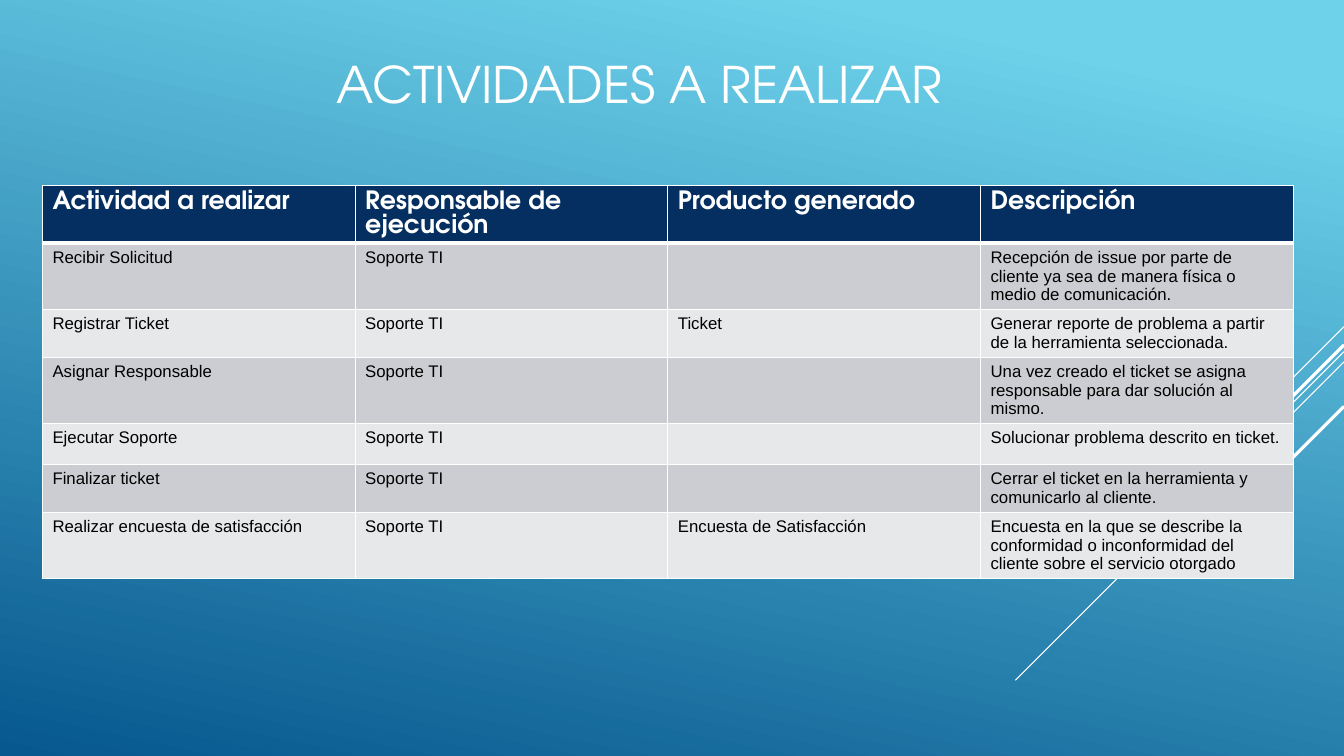
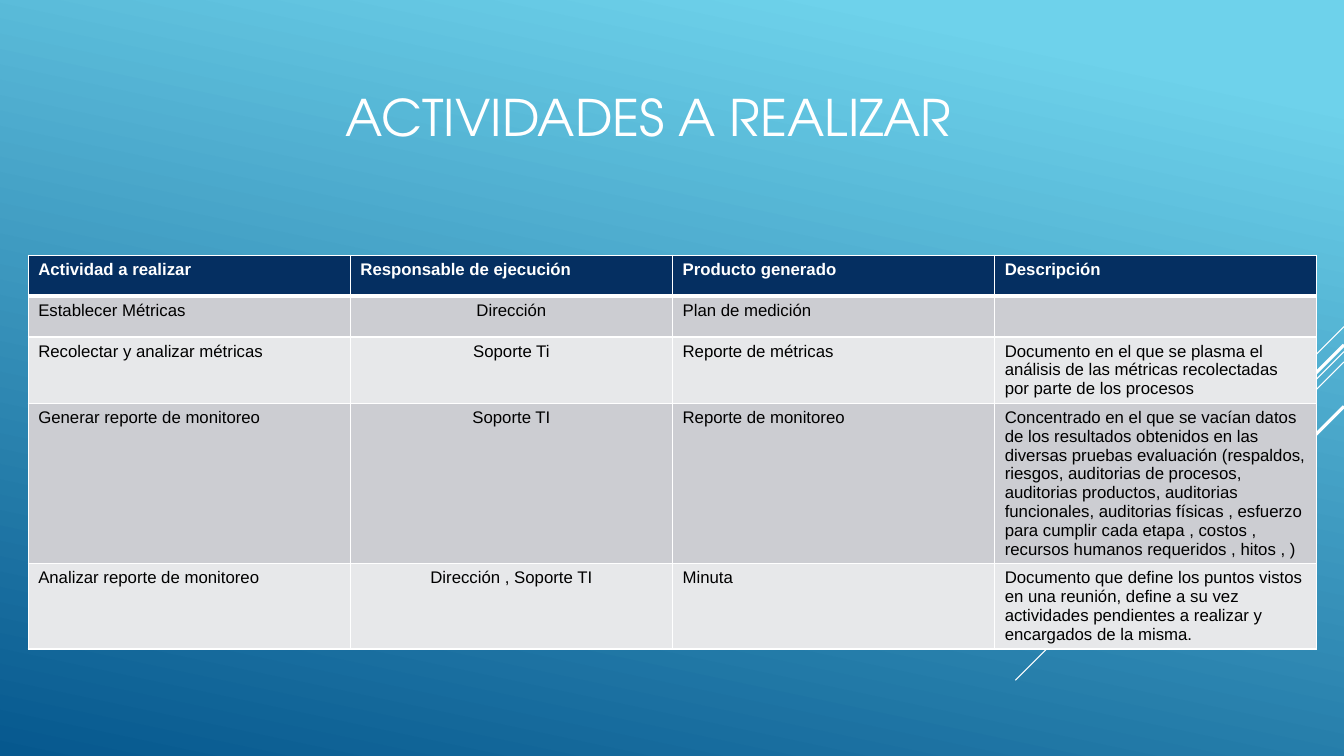
from lxml import etree
from pptx import Presentation
from pptx import util as u
from pptx.dml.color import RGBColor
from pptx.enum import shapes, text
from pptx.oxml.ns import qn

COLORS = {
    "sky": "6ED2EB", "ocean": "06588E", "navy": "052F61", "white": "FFFFFF",
    "black": "000000", "band_dark": "CCCDD2", "band_light": "E7E8EA",
}
TITLE_FORMAT = {"size": u.Pt(36), "name": "TeX Gyre Adventor"}
BODY_FORMAT = {"size": u.Pt(12), "name": "Arial", "bold": False}
SMALL_HEADER_FORMAT = BODY_FORMAT | {"bold": True}
LARGE_HEADER_FORMAT = {"size": u.Pt(18), "name": "TeX Gyre Adventor", "bold": True}
BODY_SPACING, LARGE_SPACING = u.Pt(13.4), u.Pt(17)

SLIDE_WIDTH, SLIDE_HEIGHT = 33.87, 19.05
# Diagonals start at the right edge: top, horizontal and vertical run, line width
DIAGONALS = [
    (8.23, 2.54, 0.75), (8.86, 8.28, 0.75), (9.12, 5.27, 0.75),
    (8.69, 4.85, 2.25), (10.24, 3.53, 2.25),
]

TITLE = "ACTIVIDADES A REALIZAR"
HEADERS = ["Actividad a realizar", "Responsable de ejecución", "Producto generado", "Descripción"]
SUPPORT_ROWS = [
    ["Recibir Solicitud", "Soporte TI", "",
     "Recepción de issue por parte de cliente ya sea de manera física o medio de comunicación."],
    ["Registrar Ticket", "Soporte TI", "Ticket",
     "Generar reporte de problema a partir de la herramienta seleccionada."],
    ["Asignar Responsable", "Soporte TI", "",
     "Una vez creado el ticket se asigna responsable para dar solución al mismo."],
    ["Ejecutar Soporte", "Soporte TI", "", "Solucionar problema descrito en ticket."],
    ["Finalizar ticket", "Soporte TI", "",
     "Cerrar el ticket en la herramienta y comunicarlo al cliente."],
    ["Realizar encuesta de satisfacción", "Soporte TI", "Encuesta de Satisfacción",
     "Encuesta en la que se describe la conformidad o inconformidad del cliente "
     "sobre el servicio otorgado"],
]
METRICS_ROWS = [
    ["Establecer Métricas", "Dirección", "Plan de medición", ""],
    ["Recolectar y analizar métricas", "Soporte Ti", "Reporte de métricas",
     "Documento en el que se plasma el análisis de las métricas recolectadas "
     "por parte de los procesos"],
    ["Generar reporte de monitoreo", "Soporte TI", "Reporte de monitoreo",
     "Concentrado en el que se vacían datos de los resultados obtenidos en las diversas pruebas "
     "evaluación (respaldos, riesgos, auditorias de procesos, auditorias productos, auditorias "
     "funcionales, auditorias físicas , esfuerzo para cumplir cada etapa , costos , recursos "
     "humanos requeridos , hitos , )"],
    ["Analizar reporte de monitoreo", "Dirección , Soporte TI", "Minuta",
     "Documento que define los puntos vistos en una reunión, define a su vez actividades "
     "pendientes a realizar y encargados de la misma."],
]


def rgb(name):
    return RGBColor.from_string(COLORS[name])


def write(paragraph, content, font_format, color, alignment=text.PP_ALIGN.LEFT):
    paragraph.alignment = alignment
    if not content:
        return
    run = paragraph.add_run()
    run.text = content
    for name, value in font_format.items():
        setattr(run.font, name, value)
    run.font.color.rgb = rgb(color)


def set_background(presentation):
    fill = presentation.slide_master.background.fill
    fill.gradient()
    fill.gradient_angle = 258
    for stop, (position, color) in zip(fill.gradient_stops, [(0.1, "sky"), (1, "ocean")]):
        stop.position = position
        stop.color.rgb = rgb(color)


def add_diagonal(slide, top, run_length, width):
    line = slide.shapes.add_connector(
        shapes.MSO_CONNECTOR.STRAIGHT, u.Cm(SLIDE_WIDTH), u.Cm(top),
        u.Cm(SLIDE_WIDTH - run_length), u.Cm(top + run_length))
    line.line.color.rgb = rgb("white")
    line.line.width = u.Pt(width)
    etree.SubElement(line._element.spPr, qn("a:effectLst"))


def add_title(slide, left, top):
    box = slide.shapes.add_textbox(u.Cm(left), u.Cm(top), u.Cm(23.7), u.Cm(4.19))
    frame = box.text_frame
    frame.word_wrap = True
    frame.vertical_anchor = text.MSO_ANCHOR.MIDDLE
    write(frame.paragraphs[0], TITLE, TITLE_FORMAT, "white", text.PP_ALIGN.CENTER)


def set_borders(cell, widths):
    """Border lines come before the fill in the cell properties."""
    properties = cell._tc.get_or_add_tcPr()
    for index, (side, width) in enumerate(widths.items()):
        line = etree.Element(qn(f"a:ln{side}"), w=str(u.Pt(width)))
        fill = etree.SubElement(line, qn("a:solidFill"))
        etree.SubElement(fill, qn("a:srgbClr"), val=COLORS["white"])
        properties.insert(index, line)


def add_activity_table(slide, left, top, column_width, row_heights, rows,
                       header_format=SMALL_HEADER_FORMAT, header_spacing=BODY_SPACING,
                       owner_alignment=text.PP_ALIGN.LEFT):
    table = slide.shapes.add_table(
        len(row_heights), len(HEADERS), u.Cm(left), u.Cm(top),
        u.Cm(column_width * len(HEADERS)), u.Cm(sum(row_heights))).table
    table.horz_banding = False
    for column in table.columns:
        column.width = u.Cm(column_width)
    for row_index, (height, values) in enumerate(zip(row_heights, [HEADERS] + rows)):
        table.rows[row_index].height = u.Cm(height)
        is_header = row_index == 0
        band = "navy" if is_header else "band_dark" if row_index % 2 else "band_light"
        widths = {"L": 1, "R": 1, "T": 3 if row_index == 1 else 1, "B": 3 if is_header else 1}
        for column_index, value in enumerate(values):
            cell = table.cell(row_index, column_index)
            cell.fill.solid()
            cell.fill.fore_color.rgb = rgb(band)
            set_borders(cell, widths)
            paragraph = cell.text_frame.paragraphs[0]
            paragraph.line_spacing = header_spacing if is_header else BODY_SPACING
            if is_header:
                write(paragraph, value, header_format, "white")
            else:
                alignment = owner_alignment if column_index == 1 else text.PP_ALIGN.LEFT
                write(paragraph, value, BODY_FORMAT, "black", alignment)


def add_activity_slide(presentation, title_left, title_top):
    slide = presentation.slides.add_slide(presentation.slide_layouts[6])
    for diagonal in DIAGONALS:
        add_diagonal(slide, *diagonal)
    add_title(slide, title_left, title_top)
    return slide


def main():
    presentation = Presentation()
    presentation.slide_width = u.Cm(SLIDE_WIDTH)
    presentation.slide_height = u.Cm(SLIDE_HEIGHT)
    set_background(presentation)

    # Support activities
    slide = add_activity_slide(presentation, 4.27, 0)
    add_activity_table(slide, 1.07, 4.67, 7.88, [1.45, 1.67, 1.2, 1.67, 1.03, 1.2, 1.67],
                       SUPPORT_ROWS, LARGE_HEADER_FORMAT, LARGE_SPACING)

    # Metrics activities
    slide = add_activity_slide(presentation, 4.5, 0.84)
    add_activity_table(slide, 0.71, 6.43, 8.12, [1.03, 1.03, 1.67, 4.04, 2.15],
                       METRICS_ROWS, owner_alignment=text.PP_ALIGN.CENTER)

    presentation.save("out.pptx")


if __name__ == "__main__":
    main()
